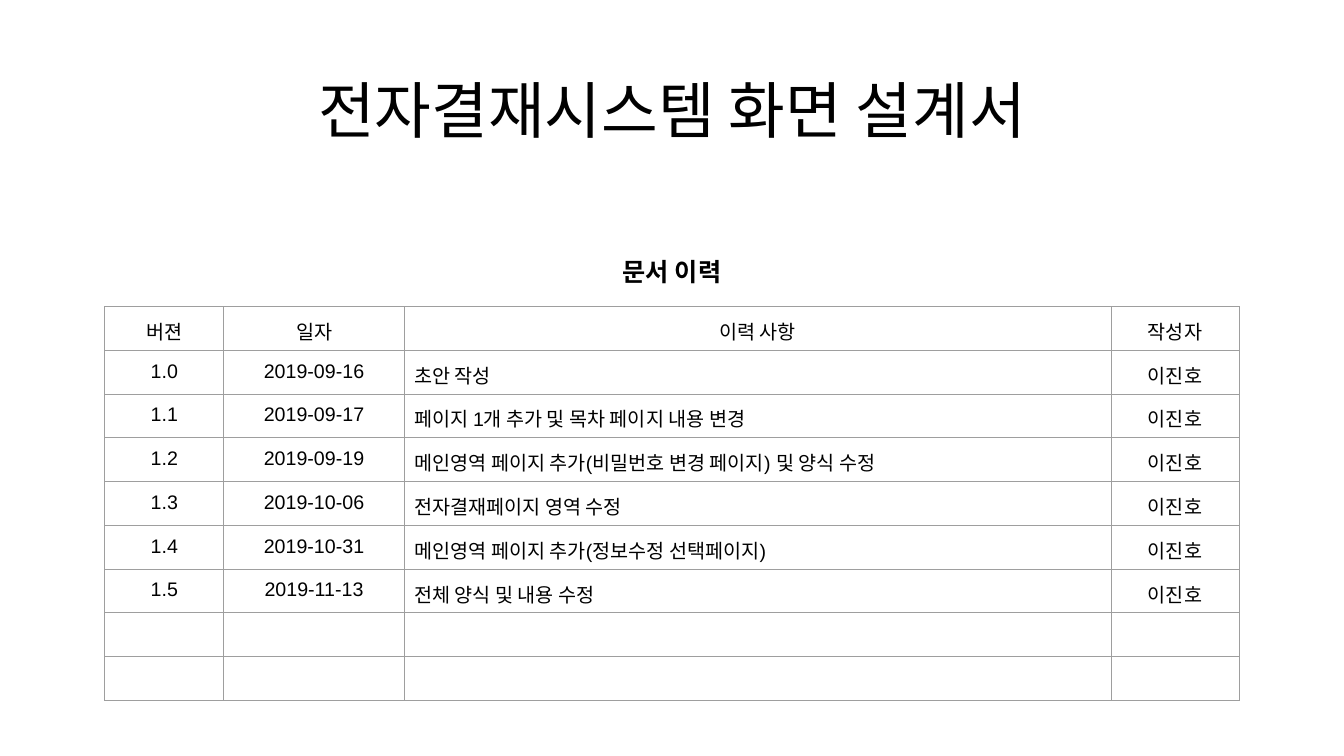
import pptx
import pptx.dml.color
import pptx.enum.text
import pptx.oxml
import pptx.oxml.ns
import pptx.util

PX = 9144  # EMU per px, 100 px to the inch
THEME = {
    "text": "000000",
    "border": "9E9E9E",
    "border_pt": 0.75,
    "latin": "Arial",
    "korean": "Noto Sans CJK KR",
    "title": 44,
    "heading": 18,
    "body": 14,
}
CENTER = pptx.enum.text.PP_ALIGN.CENTER
LEFT = pptx.enum.text.PP_ALIGN.LEFT

AUTHOR = "이진호"
COLUMNS = [("버젼", 118, CENTER), ("일자", 179, CENTER),
           ("이력 사항", 701, LEFT), ("작성자", 127, CENTER)]
REVISIONS = [
    ("1.0", "2019-09-16", "초안 작성"),
    ("1.1", "2019-09-17", "페이지 1개 추가 및 목차 페이지 내용 변경"),
    ("1.2", "2019-09-19", "메인영역 페이지 추가(비밀번호 변경 페이지) 및 양식 수정"),
    ("1.3", "2019-10-06", "전자결재페이지 영역 수정"),
    ("1.4", "2019-10-31", "메인영역 페이지 추가(정보수정 선택페이지)"),
    ("1.5", "2019-11-13", "전체 양식 및 내용 수정"),
]
SPARE_ROWS = 2


def px(n):
    return pptx.util.Emu(round(n * PX))


def set_attrs(obj, values):
    for name, value in values.items():
        setattr(obj, name, value)


def set_margins(obj, x, y):
    set_attrs(obj, {"margin_left": px(x), "margin_right": px(x),
                    "margin_top": px(y), "margin_bottom": px(y)})


def write(p, text, size, latin, align=CENTER, bold=False):
    """Put one run in the paragraph, with the Korean font for Hangul."""
    p.alignment = align
    r = p.add_run()
    r.text = text
    set_attrs(r.font, {"size": pptx.util.Pt(size), "bold": bold, "name": latin})
    r.font.color.rgb = pptx.dml.color.RGBColor.from_string(THEME["text"])
    ea = pptx.oxml.parse_xml(
        f'<a:ea {pptx.oxml.ns.nsdecls("a")} typeface="{THEME["korean"]}"/>')
    r.font._element.append(ea)


def add_caption(slide, box, text, size, inset_y, bold=False, spacing=1.0):
    tb = slide.shapes.add_textbox(*map(px, box))
    tf = tb.text_frame
    set_attrs(tf, {"word_wrap": True,
                   "vertical_anchor": pptx.enum.text.MSO_ANCHOR.MIDDLE})
    set_margins(tf, 10, inset_y)
    p = tf.paragraphs[0]
    p.line_spacing = spacing
    write(p, text, size, THEME["korean"], bold=bold)


def add_borders(cell):
    tcPr = cell._tc.get_or_add_tcPr()
    width = pptx.util.Pt(THEME["border_pt"])
    for i, side in enumerate("LRTB"):
        tcPr.insert(i, pptx.oxml.parse_xml(
            f'<a:ln{side} {pptx.oxml.ns.nsdecls("a")} w="{width}"><a:solidFill>'
            f'<a:srgbClr val="{THEME["border"]}"/></a:solidFill></a:ln{side}>'))


def fill_cell(cell, text, align):
    set_margins(cell, 10, 10)
    cell.fill.background()
    add_borders(cell)
    p = cell.text_frame.paragraphs[0]
    if text:
        write(p, text, THEME["body"], THEME["latin"], align)
    else:  # keeps the empty row as low as its size allows
        p._p.append(pptx.oxml.parse_xml(
            f'<a:endParaRPr {pptx.oxml.ns.nsdecls("a")} sz="{THEME["body"] * 100}"/>'))


def add_history(slide, box):
    header = [name for name, _, _ in COLUMNS]
    rows = [header] + [(*revision, AUTHOR) for revision in REVISIONS]
    rows += [[""] * len(COLUMNS)] * SPARE_ROWS
    table = slide.shapes.add_table(len(rows), len(COLUMNS), *map(px, box)).table
    set_attrs(table, {"first_row": False, "horz_banding": False})
    for column, (_, width, _) in zip(table.columns, COLUMNS):
        column.width = px(width)
    for i, texts in enumerate(rows):
        table.rows[i].height = px(box[3] / len(rows))
        for j, text in enumerate(texts):
            fill_cell(table.cell(i, j), text, COLUMNS[j][2] if i else CENTER)


def add_history_slide(prs):
    slide = prs.slides.add_slide(prs.slide_layouts[6])
    add_caption(slide, (92, 40, 1150, 145), "전자결재시스템 화면 설계서",
                THEME["title"], 5, spacing=0.9)
    add_history(slide, (104, 304, 1125, 391))
    add_caption(slide, (104, 247, 1125, 44), "문서 이력",
                THEME["heading"], 10, bold=True)


def main():
    prs = pptx.Presentation()
    set_attrs(prs, {"slide_width": px(1333), "slide_height": px(750)})
    add_history_slide(prs)
    prs.save("out.pptx")


if __name__ == "__main__":
    main()
